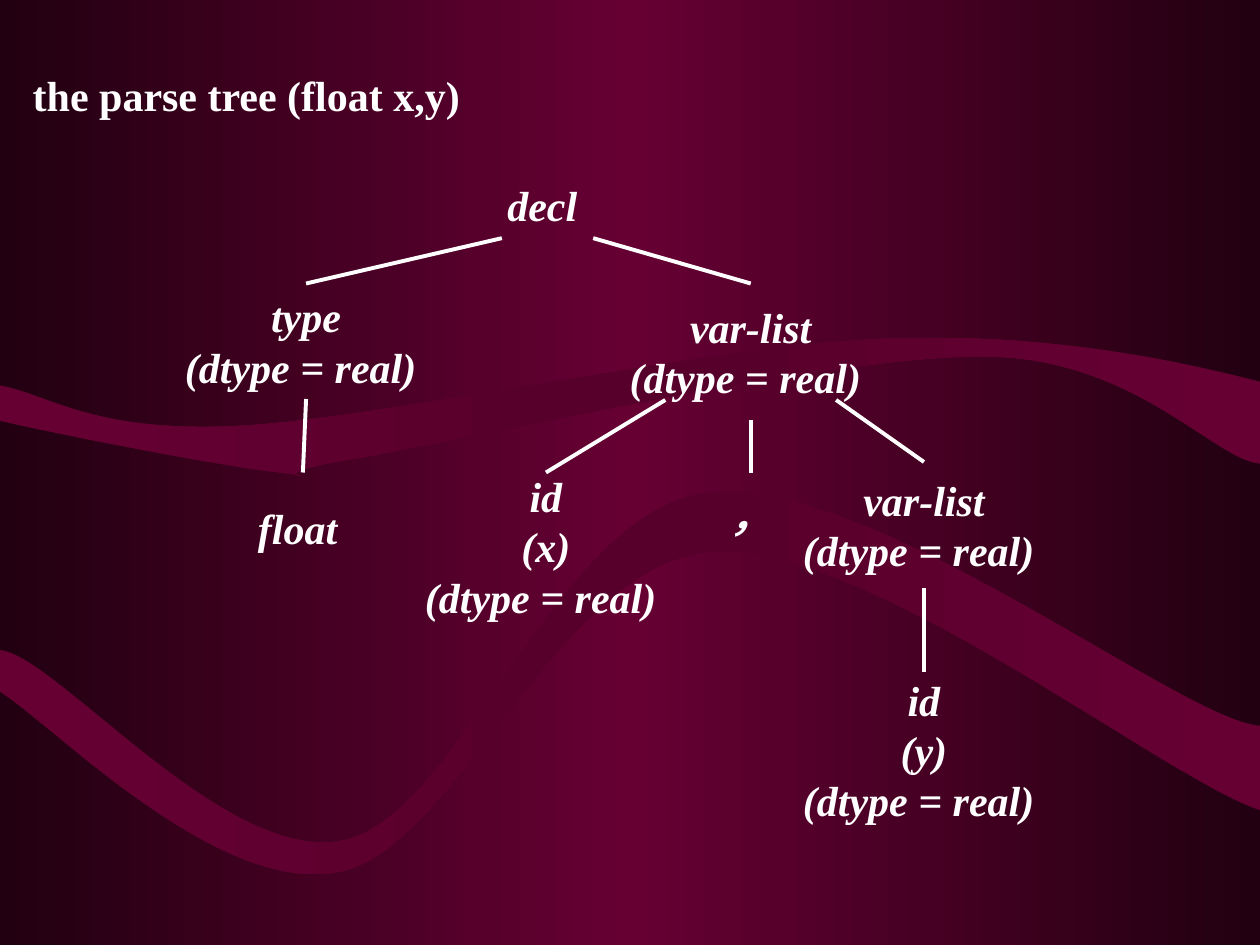
from copy import deepcopy
from math import cos, radians, sin

from pptx import Presentation
from pptx import util as u
from pptx.dml.color import RGBColor
from pptx.enum import shapes, text
from pptx.oxml.ns import qn
from pptx.oxml.xmlchemy import OxmlElement

WHITE = RGBColor(0xFF, 0xFF, 0xFF)
DARK = RGBColor(0x22, 0x00, 0x11)
WINE = RGBColor(0x66, 0x00, 0x33)
MUTED = RGBColor(0x56, 0x00, 0x2B)
FONT = "Times New Roman"
WIDTH, HEIGHT = 10, 7.5
UNITS_PER_INCH = 100

# Each ribbon is a lower and an upper edge of joined cubic curves, in inches.
RIBBONS = [
    ([(0, 3.34), (0.37, 3.43), (1.75, 3.7), (2.22, 3.75),
      (2.69, 3.8), (1.9, 3.79), (2.82, 3.64),
      (3.75, 3.48), (6.6, 2.82), (7.8, 2.83),
      (9, 2.83), (9.63, 3.65), (10, 3.68)],
     [(10, 3.03), (9.5, 2.9), (8.36, 2.63), (7.01, 2.69),
      (5.66, 2.74), (3.07, 3.32), (1.9, 3.38),
      (0.73, 3.44), (0.4, 3.13), (0, 3.06)]),
    ([(0, 5.49), (0.45, 5.78), (1.74, 7.11), (2.69, 6.92),
      (3.63, 6.74), (4.43, 4.46), (5.65, 4.38),
      (6.87, 4.29), (9.27, 6.2), (10, 6.43)],
     [(10, 5.76), (9.38, 5.72), (6.91, 3.77), (5.62, 3.91),
      (4.41, 4.06), (3.67, 6.46), (2.73, 6.67),
      (1.79, 6.87), (0.45, 5.2), (0, 5.16)]),
]

# Node: lines of text, then left, top, width and height in twelfths of an inch.
DTYPE = "(dtype = real) "
NODES = {
    "decl": (["decl "], (46, 15, 12.3, 9)),
    "type": (["type", DTYPE], (23, 27, 12.3, 11)),
    "list": (["var-list", DTYPE], (60, 27, 23, 13)),
    "float": (["float "], (22.7, 45, 12.3, 10.5)),
    "id x": (["id", "(x)", DTYPE], (46, 45, 12, 14)),
    "comma": (["，"], (65.5, 45, 12, 8)),
    "rest": (["var-list", DTYPE], (82, 44, 12, 12)),
    "id y": (["id", "(y)", DTYPE], (82, 64, 12, 14.8)),
}
# Branch: parent, angle at which it leaves the parent's ellipse, child.
RIGHT, DOWN, LEFT, UP = 45, 90, 135, 270
BRANCHES = [
    ("decl", LEFT, "type"), ("decl", RIGHT, "list"), ("type", DOWN, "float"),
    ("list", LEFT, "id x"), ("list", DOWN, "comma"), ("list", RIGHT, "rest"),
    ("rest", DOWN, "id y"),
]


def fill_gradient(fill, owner, edge, middle):
    """Fill with a horizontal gradient that is the same at both ends."""
    fill.gradient()
    fill.gradient_angle = 180
    stop_list = next(owner.iter(qn("a:gsLst")))
    stop_list.append(deepcopy(stop_list[0]))
    for stop, color, place in zip(fill.gradient_stops, (edge, middle, edge), (0, 0.5, 1)):
        stop.color.rgb = color
        stop.position = place


def bend(segments):
    """Turn each three straight segments into one cubic curve."""
    for i in range(0, len(segments), 3):
        curve = OxmlElement("a:cubicBezTo")
        segments[i].addprevious(curve)
        for segment in segments[i:i + 3]:
            curve.append(segment[0])
            segment.getparent().remove(segment)


def add_ribbon(page, lower, upper):
    first, *others = [(round(x * UNITS_PER_INCH), round(y * UNITS_PER_INCH))
                      for x, y in lower + upper]
    builder = page.shapes.build_freeform(*first, scale=u.Inches(1) / UNITS_PER_INCH)
    builder.add_line_segments(others, close=True)
    ribbon = builder.convert_to_shape()
    segments = list(ribbon.element.iter(qn("a:lnTo")))
    bend(segments[:len(lower) - 1])
    bend(segments[len(lower):])
    ribbon.shadow.inherit = False
    ribbon.line.fill.background()
    fill_gradient(ribbon.fill, ribbon.element.spPr, WINE, MUTED)


def add_span(para, words, italic):
    span = para.add_run()
    span.text = words
    span.font.name = FONT
    span.font.size = u.Pt(24)
    span.font.bold = True
    span.font.italic = italic
    span.font.color.rgb = WHITE


def set_title(page, left, top, width, height):
    title = page.shapes.title
    title.left, title.top, title.width, title.height = map(u.Inches, (left, top, width, height))
    frame = title.text_frame
    frame.auto_size = text.MSO_AUTO_SIZE.NONE
    frame.vertical_anchor = text.MSO_ANCHOR.TOP
    para = frame.paragraphs[0]
    para.alignment = text.PP_ALIGN.LEFT
    add_span(para, "the parse tree (float x,y)", False)


def add_node(page, lines, left, top, width, height):
    node = page.shapes.add_shape(shapes.MSO_SHAPE.OVAL, left, top, width, height)
    node.shadow.inherit = False
    node.fill.background()
    node.line.fill.background()
    frame = node.text_frame
    frame.word_wrap = False
    frame.vertical_anchor = text.MSO_ANCHOR.MIDDLE
    for i, words in enumerate(lines):
        para = frame.add_paragraph() if i else frame.paragraphs[0]
        para.alignment = text.PP_ALIGN.CENTER
        add_span(para, words, True)
    return node


def rim_point(node, angle):
    """Point on the node's ellipse, with angles running clockwise from the right."""
    turn = radians(angle)
    return (round(node.left + node.width / 2 * (1 + cos(turn))),
            round(node.top + node.height / 2 * (1 + sin(turn))))


def add_branch(page, parent, angle, child):
    branch = page.shapes.add_connector(
        shapes.MSO_CONNECTOR.STRAIGHT, *rim_point(parent, angle), *rim_point(child, UP))
    branch.line.color.rgb = WHITE
    branch.line.width = u.Pt(2.25)
    branch.element.spPr.append(OxmlElement("a:effectLst"))


def add_tree(page, left, top, width, height):
    """Place the parse tree on a grid of 120 columns and 90 rows."""
    column, row = u.Inches(width / 120), u.Inches(height / 90)
    nodes = {}
    for name, (lines, (x, y, wide, high)) in NODES.items():
        nodes[name] = add_node(
            page, lines, round(u.Inches(left) + x * column), round(u.Inches(top) + y * row),
            round(wide * column), round(high * row))
    for parent, angle, child in BRANCHES:
        add_branch(page, nodes[parent], angle, nodes[child])


def main():
    deck = Presentation()
    deck.slide_width, deck.slide_height = u.Inches(WIDTH), u.Inches(HEIGHT)
    page = deck.slides.add_slide(deck.slide_layouts.get_by_name("Title Only"))
    fill_gradient(page.background.fill, page.element, DARK, WINE)
    for lower, upper in RIBBONS:
        add_ribbon(page, lower, upper)
    set_title(page, 0.16, 0.5, 9.75, 0.5)
    add_tree(page, 0, 0, WIDTH, HEIGHT)
    deck.save("out.pptx")


if __name__ == "__main__":
    main()
